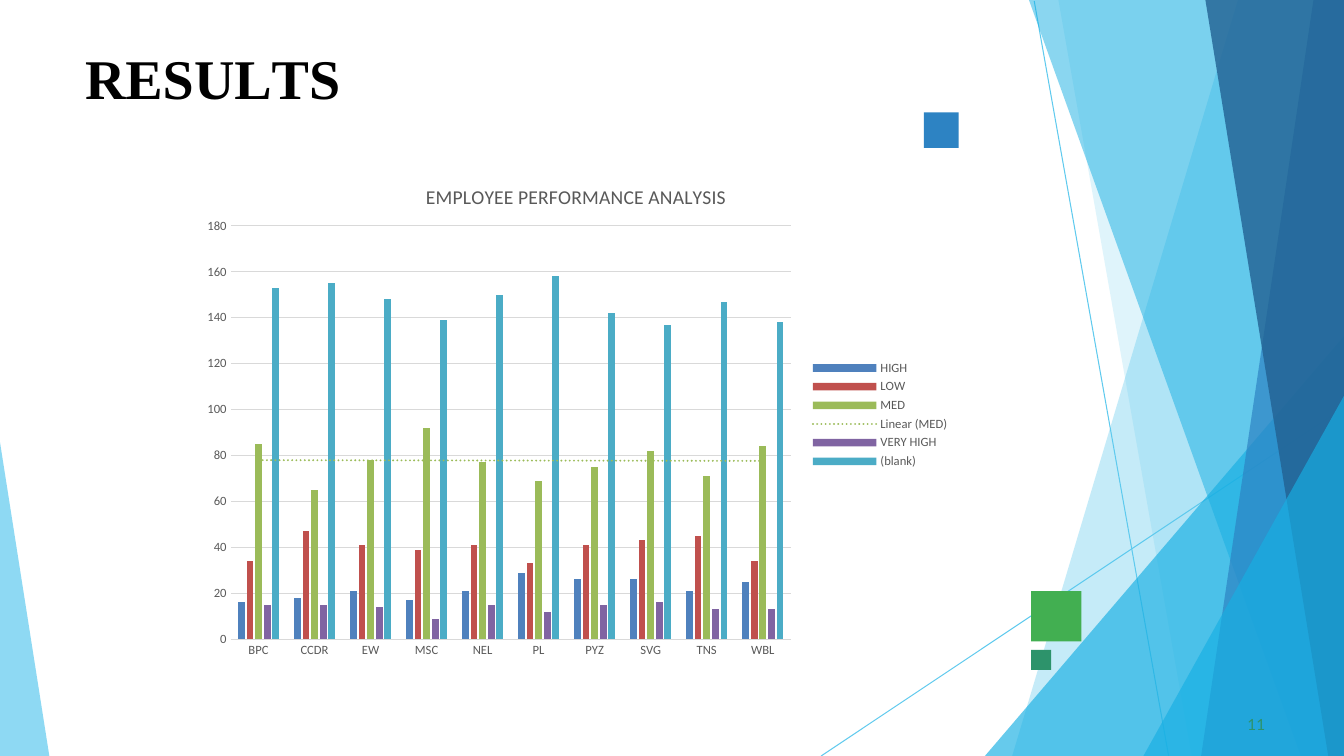
"""Build the RESULTS slide with its employee performance chart."""
from lxml import etree
from pptx import Presentation
from pptx.chart.data import CategoryChartData
from pptx.dml.color import RGBColor
from pptx.enum.chart import XL_CHART_TYPE as ChartType, XL_LEGEND_POSITION as LegendPosition
from pptx.enum.chart import XL_TICK_MARK as TickMark
from pptx.enum.shapes import MSO_CONNECTOR as Connector, MSO_SHAPE as Shape
from pptx.enum.text import MSO_ANCHOR as Anchor, MSO_AUTO_SIZE as AutoSize, PP_ALIGN as Align
from pptx.oxml import parse_xml
from pptx.oxml.ns import nsdecls, qn
from pptx.util import Pt

PX = 9525
WIDTH, HEIGHT = 1280, 720


def paint(target, color, opacity=100):
    """Give a fill a solid colour, with its opacity in percent."""
    target.solid()
    target.fore_color.rgb = RGBColor.from_string(color)
    if opacity < 100:
        etree.SubElement(target._xPr.find(".//" + qn("a:srgbClr")), qn("a:alpha"), val=str(opacity * 1000))


def style(font, size, color, name="Calibri", bold=False):
    """Set the size, colour, face and weight of a font."""
    font.size, font.name, font.bold = Pt(size), name, bold
    paint(font.fill, color)


presentation = Presentation()
presentation.slide_width, presentation.slide_height = WIDTH * PX, HEIGHT * PX
slide = presentation.slides.add_slide(presentation.slide_layouts[5])
shapes = slide.shapes

for ends in [(985, 1, 1113, HEIGHT), (WIDTH, 388, 782, HEIGHT)]:
    line = shapes.add_connector(Connector.STRAIGHT, *[value * PX for value in ends])
    line.line.width = Pt(0.75)
    paint(line.line.fill, "5FCAEE")
    etree.SubElement(line._element.spPr, qn("a:effectLst"))

right_bottom = (WIDTH, HEIGHT)
facets = [
    ([(WIDTH, 0), (1179, 0), (964, HEIGHT), right_bottom], "5FCAEE", 36),
    ([(WIDTH, 0), (1008, 0), (1135, HEIGHT), right_bottom], "5FCAEE", 20),
    ([(WIDTH, 320), (938, HEIGHT), right_bottom], "17AFE3", 66),
    ([(WIDTH, 0), (980, 0), (1239, HEIGHT), right_bottom], "17AFE3", 50),
    ([(WIDTH, 0), (1251, 0), (1144, HEIGHT), right_bottom], "2D83C3", 70),
    ([(WIDTH, 0), (1148, 0), (1265, HEIGHT), right_bottom], "226192", 80),
    ([(WIDTH, 377), (1089, HEIGHT), right_bottom], "17AFE3", 66),
    ([(0, 421), (0, HEIGHT), (47, HEIGHT)], "5FCAEE", 70),
]
for points, color, opacity in facets:
    builder = shapes.build_freeform(*points[0], scale=PX)
    builder.add_line_segments(points[1:])
    facet = builder.convert_to_shape()
    facet.shadow.inherit = False
    paint(facet.fill, color, opacity)
    facet.line.fill.background()

for left, top, width, height, color in [
    (982, 563, 48, 48, "42AF51"), (880, 107, 33, 34, "2D83C3"), (982, 619, 19, 19, "2D936B"),
]:
    square = shapes.add_shape(Shape.RECTANGLE, left * PX, top * PX, width * PX, height * PX)
    square.shadow.inherit = False
    paint(square.fill, color)
    square.line.fill.background()

title = shapes.title
number = shapes.add_textbox(0, 0, PX, PX)
labels = [
    (title, (80, 40, 256, 66), 1, 1.1, (40, "000000", "Times New Roman", True),
     [("R", 0), ("E", -40), ("S", 10), ("U", -30), ("L", -400), ("TS", 0)]),
    (number, (1184, 680, 24, 20), 4, 0.6, (11, "2D936B", "Lato"), [("11", 10)]),
]
for label, box, indent, space_before, look, runs in labels:
    label.left, label.top, label.width, label.height = [value * PX for value in box]
    frame = label.text_frame
    frame.word_wrap, frame.auto_size = True, AutoSize.SHAPE_TO_FIT_TEXT
    frame.vertical_anchor = Anchor.TOP
    frame.margin_left = frame.margin_right = frame.margin_bottom = 0
    frame.margin_top = PX
    paragraph = frame.paragraphs[0]
    paragraph.alignment = Align.LEFT
    paragraph.space_before = Pt(space_before)
    properties = paragraph._p.get_or_add_pPr()
    properties.set("marL", str(indent * PX))
    properties.set("indent", "0")
    for text, spacing in runs:
        run = paragraph.add_run()
        run.text = text
        style(run.font, *look)
        run._r.get_or_add_rPr().set("spc", str(spacing))

data = CategoryChartData()
data.categories = ["BPC", "CCDR", "EW", "MSC", "NEL", "PL", "PYZ", "SVG", "TNS", "WBL"]
ratings = [
    ("HIGH", "4F81BD", [16, 18, 21, 17, 21, 29, 26, 26, 21, 25]),
    ("LOW", "C0504D", [34, 47, 41, 39, 41, 33, 41, 43, 45, 34]),
    ("MED", "9BBB59", [85, 65, 78, 92, 77, 69, 75, 82, 71, 84]),
    ("VERY HIGH", "8064A2", [15, 15, 14, 9, 15, 12, 15, 16, 13, 13]),
    ("(blank)", "4BACC6", [153, 155, 148, 139, 150, 158, 142, 137, 147, 138]),
]
for name, color, values in ratings:
    data.add_series(name, values)
chart = shapes.add_chart(ChartType.COLUMN_CLUSTERED, 183 * PX, 152 * PX, 731 * PX, 486 * PX, data).chart
style(chart.font, 10, "000000")

chart.has_title = True
heading = chart.chart_title.text_frame.paragraphs[0].add_run()
heading.text = "EMPLOYEE PERFORMANCE ANALYSIS"
style(heading.font, 14, "595959")

chart.has_legend = True
chart.legend.position = LegendPosition.RIGHT
chart.legend.include_in_layout = False
style(chart.legend.font, 9, "595959")

for axis in (chart.category_axis, chart.value_axis):
    axis.major_tick_mark = axis.minor_tick_mark = TickMark.NONE
    style(axis.tick_labels.font, 9, "595959")
chart.value_axis.minimum_scale, chart.value_axis.maximum_scale = 0, 180
chart.value_axis.major_unit = 20
chart.value_axis.format.line.fill.background()
for rule in (chart.category_axis.format.line, chart.value_axis.major_gridlines.format.line):
    rule.width = Pt(0.75)
    paint(rule.fill, "D9D9D9")

plot = chart.plots[0]
plot.vary_by_categories = False
plot.gap_width, plot.overlap = 219, -27
for series, (name, color, values) in zip(plot.series, ratings):
    paint(series.format.fill, color)
    if name == "MED":
        series._element.find(qn("c:cat")).addprevious(parse_xml(
            f'<c:trendline {nsdecls("c", "a")}><c:spPr><a:ln w="19050" cap="rnd"><a:solidFill>'
            f'<a:srgbClr val="{color}"/></a:solidFill><a:prstDash val="sysDot"/></a:ln></c:spPr>'
            '<c:trendlineType val="linear"/><c:dispRSqr val="0"/><c:dispEq val="0"/></c:trendline>'))

plot_area = chart._chartSpace.chart.plotArea
heading_area = chart.chart_title._element
for area, index, target, position in [
    (plot_area, 0, "inner", {"x": 0.05, "y": 0.13, "w": 0.73, "h": 0.81}),
    (heading_area, 1, None, {"x": 0.3, "y": 0.04}),
]:
    for old in area.findall(qn("c:layout")):
        area.remove(old)
    layout = etree.Element(qn("c:layout"))
    manual = etree.SubElement(layout, qn("c:manualLayout"))
    if target:
        etree.SubElement(manual, qn("c:layoutTarget"), val=target)
    for key in ("x", "y"):
        etree.SubElement(manual, qn(f"c:{key}Mode"), val="edge")
    for key, value in position.items():
        etree.SubElement(manual, qn(f"c:{key}"), val=str(value))
    area.insert(index, layout)

presentation.save("out.pptx")
